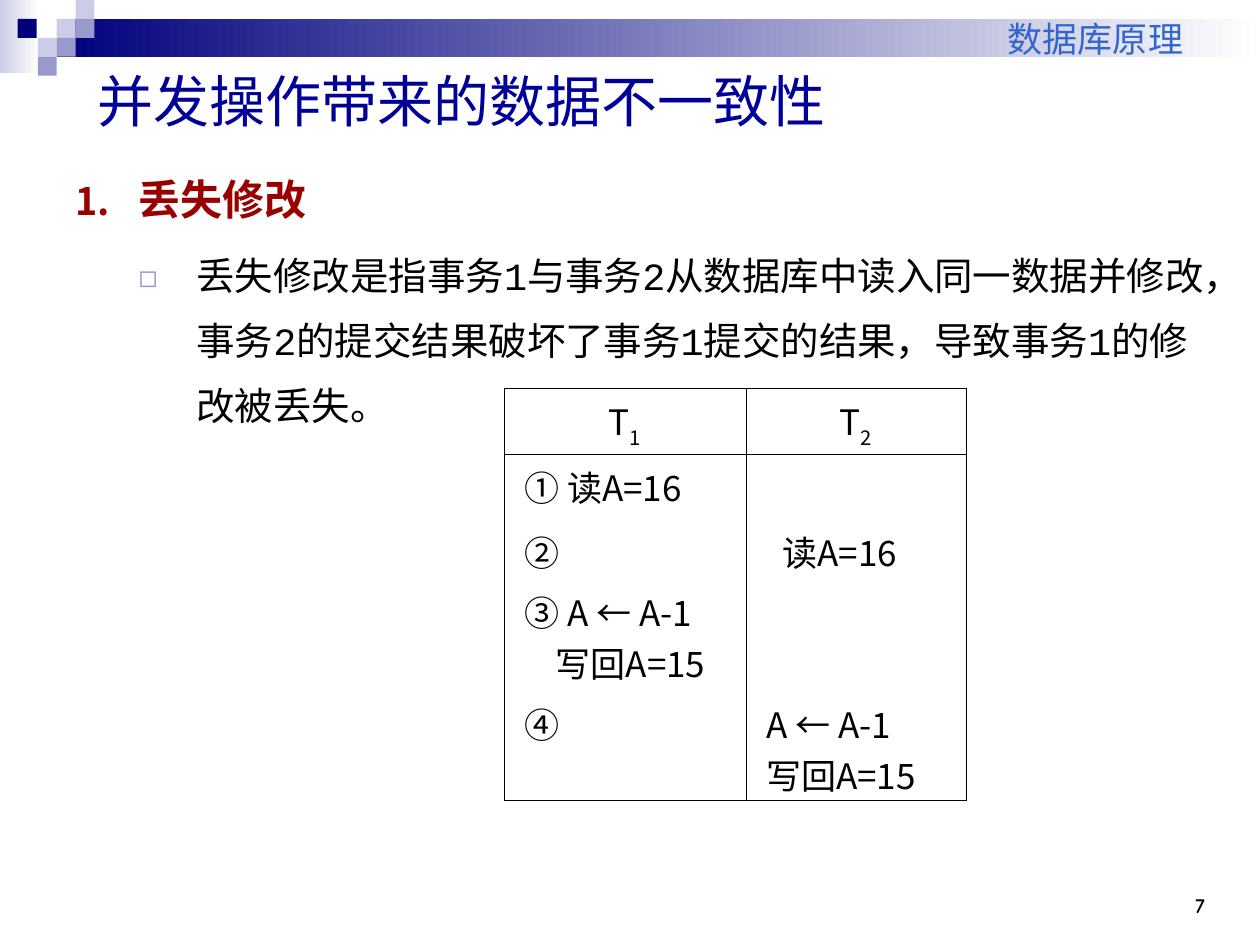
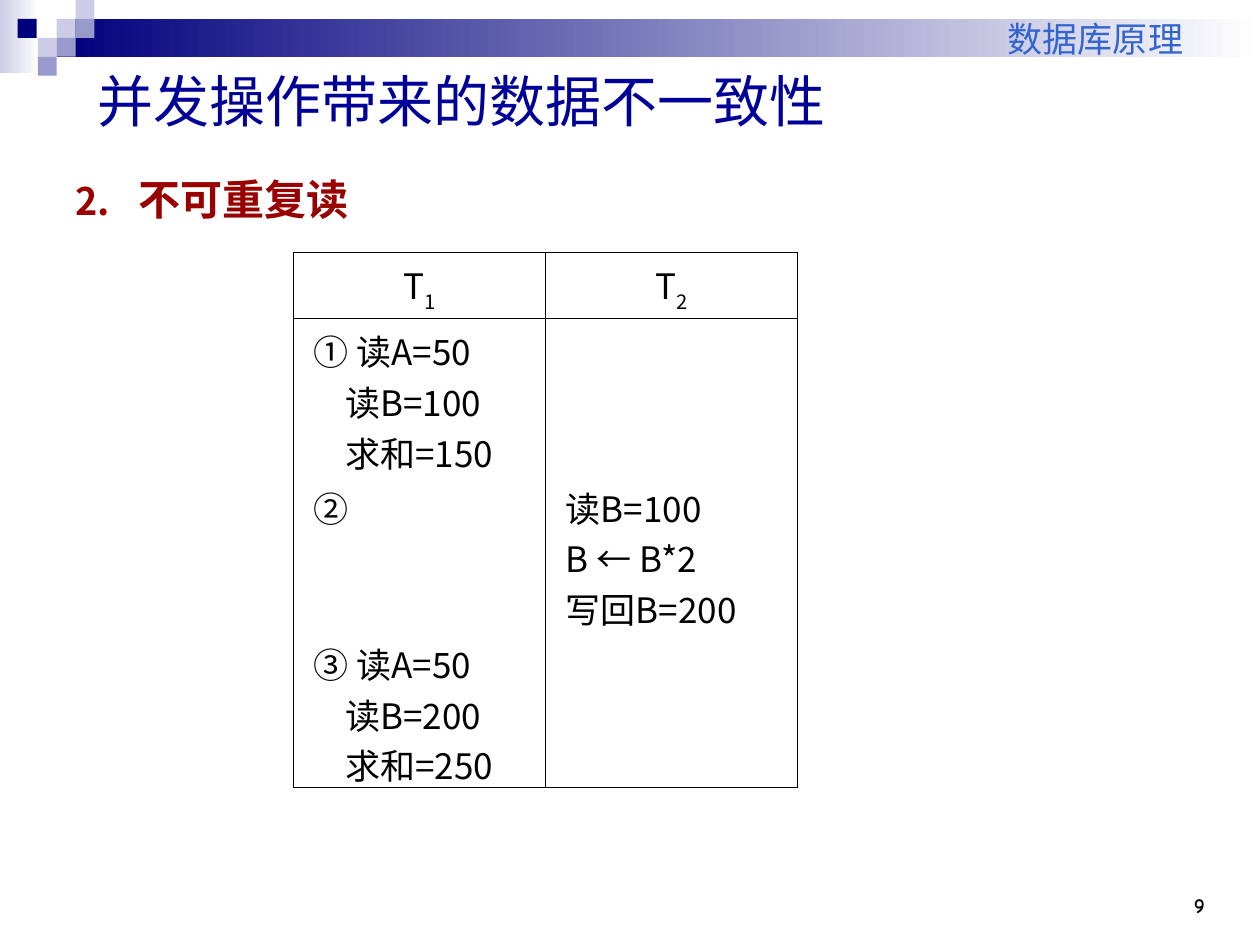
from lxml.etree import SubElement as Sub
from pptx import Presentation
from pptx.dml.color import RGBColor as RGB
from pptx.enum.shapes import MSO_SHAPE as Shape
from pptx.enum.text import MSO_ANCHOR as Anchor, MSO_AUTO_SIZE as Fit, PP_ALIGN as Align
from pptx.oxml.ns import qn
from pptx.util import Inches, Pt

# Shared colours and fonts
NAVY = RGB(0x00, 0x00, 0x7D)
PALE = RGB(0xCC, 0xCC, 0xE6)
LILAC = RGB(0x99, 0x99, 0xCC)
BLUE = RGB(0x00, 0x00, 0x99)
SKY = RGB(0x33, 0x66, 0xCC)
RED = RGB(0x99, 0x00, 0x00)
BLACK = RGB(0x00, 0x00, 0x00)
WHITE = RGB(0xFF, 0xFF, 0xFF)
COMIC, MONO, SANS = "Comic Neue", "Courier New", "Noto Sans CJK SC"

TITLE = "并发操作带来的数据不一致性"
COURSE = "数据库原理"

# Cell indents in inches: step, line under a step, shifted read
STEP, UNDER, SHIFT = 0.06, 0.31, 0.19


def place(item, left, top, width, height):
    item.left, item.top = Inches(left), Inches(top)
    item.width, item.height = Inches(width), Inches(height)


def style(para, name, size, color, bold=False):
    font = para.font
    font.name, font.size, font.bold = name, Pt(size), bold
    font.color.rgb = color
    Sub(para._p.pPr.find(qn("a:defRPr")), qn("a:ea"), typeface=SANS)


def band(slide, left, top, width, height, color, fade=False):
    box = slide.shapes.add_shape(Shape.RECTANGLE, Inches(left), Inches(top),
                                 Inches(width), Inches(height))
    box.shadow.inherit = False
    box.line.fill.background()
    if fade:
        box.fill.gradient()
        box.fill.gradient_angle = 0
        for stop, tone in zip(box.fill.gradient_stops, (color, WHITE)):
            stop.color.rgb = tone
    else:
        box.fill.solid()
        box.fill.fore_color.rgb = color


def header(slide):
    band(slide, 0, 0, 0.31, 0.58, PALE, fade=True)
    band(slide, 0.45, 0.15, 9.55, 0.3, NAVY, fade=True)
    tiles = ((0.45, 0.15, PALE), (0.6, 0, PALE), (0.6, 0.15, LILAC),
             (0.3, 0.3, PALE), (0.14, 0.15, NAVY), (0.45, 0.3, LILAC),
             (0.3, 0.45, LILAC))
    for left, top, color in tiles:
        band(slide, left, top, 0.15, 0.15, color)


def label(slide, text, area, inset, size, color, bold=False):
    box = slide.shapes.add_textbox(0, 0, 0, 0)
    place(box, *area)
    frame = box.text_frame
    frame.word_wrap = True
    frame.vertical_anchor = Anchor.BOTTOM
    frame.margin_right = Inches(inset)
    para = frame.paragraphs[0]
    para.text, para.alignment = text, Align.RIGHT
    style(para, COMIC, size, color, bold)


def bullet(para, left, hang, color, size, tag, **mark):
    props = para._p.get_or_add_pPr()
    props.set("marL", str(Inches(left)))
    props.set("indent", str(-Inches(hang)))
    Sub(Sub(props, qn("a:buClr")), qn("a:srgbClr"), val=str(color))
    Sub(props, qn("a:buSzPct"), val=str(size * 1000))
    Sub(props, qn("a:buFont"), typeface=SANS)
    Sub(props, qn(tag), **mark)


def body(slide, num, head, note):
    box = slide.placeholders[1]
    place(box, 0.5, 1.17, 9.17, 5.83)
    frame = box.text_frame
    frame.auto_size = Fit.NONE
    para = frame.paragraphs[0]
    para.text, para.line_spacing, para.space_before = head, 1.4, Pt(0)
    bullet(para, 0.5, 0.5, RED, 90, "a:buAutoNum",
           type="arabicPeriod", startAt=str(num))
    style(para, MONO, 24, RED, bold=True)
    if note:
        para = frame.add_paragraph()
        para.text, para.level = note, 1
        para.line_spacing, para.space_before = 1.4, Pt(5.5)
        bullet(para, 0.96, 0.46, LILAC, 80, "a:buChar", char="◻")
        style(para, MONO, 22, BLACK)


def page(deck, num, part, head, note=None):
    slide = deck.slides.add_slide(deck.slide_layouts[1])
    header(slide)
    label(slide, str(num), (8.83, 6.83, 0.83, 0.5), 0.1, 12, BLACK, bold=True)
    label(slide, COURSE, (3.83, 0, 5.92, 0.52), 0.36, 20, SKY)
    title = slide.shapes.title
    place(title, 0.67, 0.42, 9, 0.75)
    title.text_frame.auto_size = Fit.NONE
    para = title.text_frame.paragraphs[0]
    para.text, para.alignment = TITLE, Align.LEFT
    style(para, COMIC, 32, BLUE)
    body(slide, part, head, note)
    return slide


def border(cell, sides):
    props = cell._tc.get_or_add_tcPr()
    for side in "LRTB":
        line = Sub(props, qn(f"a:ln{side}"), w=str(Pt(0.45)))
        if side in sides:
            Sub(Sub(line, qn("a:solidFill")), qn("a:srgbClr"), val=str(BLACK))
        else:
            Sub(line, qn("a:noFill"))
    cell.fill.background()


def write(cell, lines):
    frame = cell.text_frame
    for i, (text, left) in enumerate(lines):
        para = frame.add_paragraph() if i else frame.paragraphs[0]
        para.text = text
        para._p.get_or_add_pPr().set("marL", str(Inches(left)))
        style(para, SANS, 20, BLACK)


def name(cell, num):
    para = cell.text_frame.paragraphs[0]
    para.alignment = Align.CENTER
    para.add_run().text = "T"
    sub = para.add_run()
    sub.text = str(num)
    sub._r.get_or_add_rPr().set("baseline", "-30000")
    style(para, SANS, 20, BLACK)


def grid(slide, left, top, cols, rows, steps):
    """Draw a schedule: one column per transaction, one row per step."""
    table = slide.shapes.add_table(
        len(rows), len(cols), Inches(left), Inches(top),
        Inches(sum(cols)), Inches(sum(rows))).table
    table.first_row = table.horz_banding = False
    for col, width in zip(table.columns, cols):
        col.width = Inches(width)
    for row, height in zip(table.rows, rows):
        row.height = Inches(height)
    for c in range(len(cols)):
        name(table.cell(0, c), c + 1)
        border(table.cell(0, c), "LRTB")
        for r, step in enumerate(steps, 1):
            cell = table.cell(r, c)
            write(cell, step[c])
            border(cell, "LR" + "T" * (r == 1) + "B" * (r == len(steps)))


def main():
    deck = Presentation()
    deck.slide_width, deck.slide_height = Inches(10), Inches(7.5)

    # Lost update
    slide = page(deck, 7, 1, "丢失修改",
                 "丢失修改是指事务1与事务2从数据库中读入同一数据并修改，"
                 "事务2的提交结果破坏了事务1提交的结果，导致事务1的修改被丢失。")
    grid(slide, 4, 3.08, (1.92, 1.75), (0.53, 0.51, 0.48, 0.89, 0.86), (
        ([("① 读A=16", STEP)], []),
        ([("②", STEP)], [("读A=16", SHIFT)]),
        ([("③ A ← A-1", STEP), ("写回A=15", UNDER)], []),
        ([("④", STEP)], [("A ← A-1", STEP), ("写回A=15", STEP)])))

    # Non-repeatable read
    slide = page(deck, 9, 2, "不可重复读")
    grid(slide, 2.33, 2, (2, 2), (0.53, 1.24, 1.24, 1.24), (
        ([("① 读A=50", STEP), ("读B=100", UNDER), ("求和=150", UNDER)], []),
        ([("②", STEP)],
         [("读B=100", STEP), ("B ← B*2", STEP), ("写回B=200", STEP)]),
        ([("③ 读A=50", STEP), ("读B=200", UNDER), ("求和=250", UNDER)], [])))

    deck.save("out.pptx")


if __name__ == "__main__":
    main()
